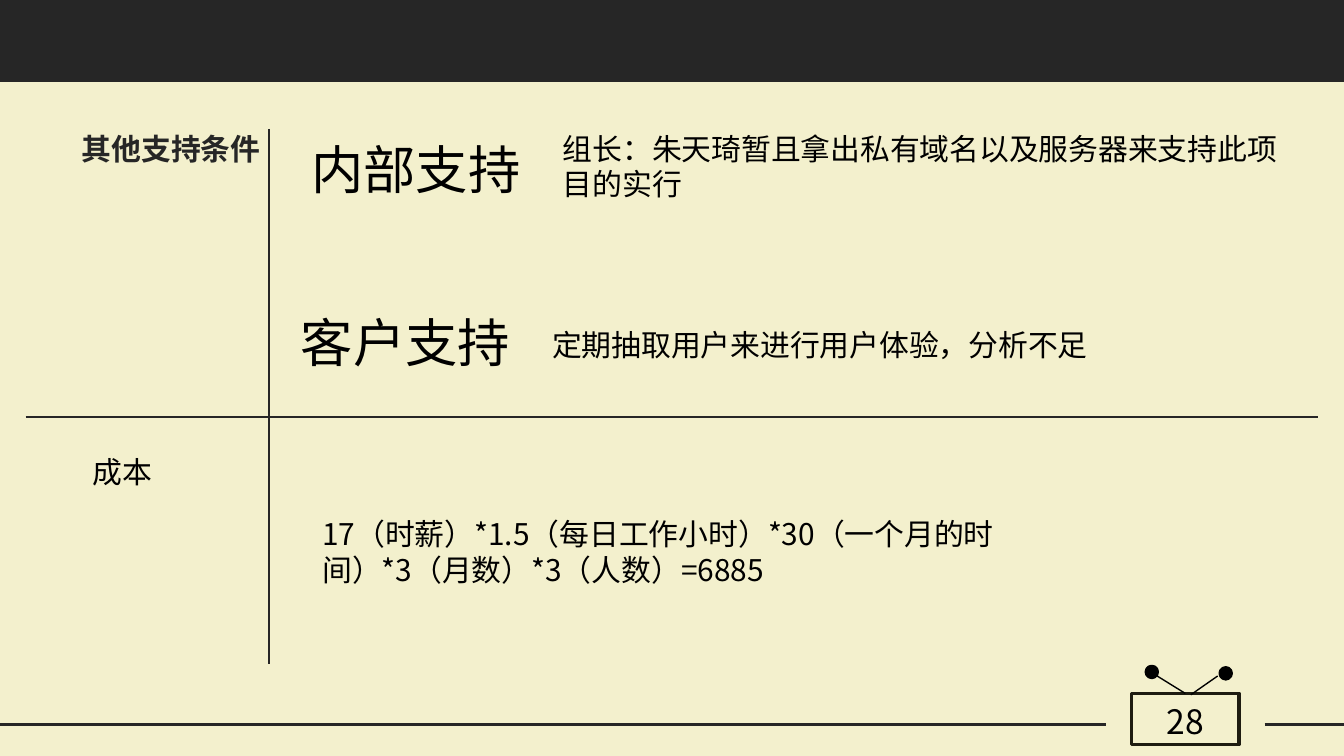
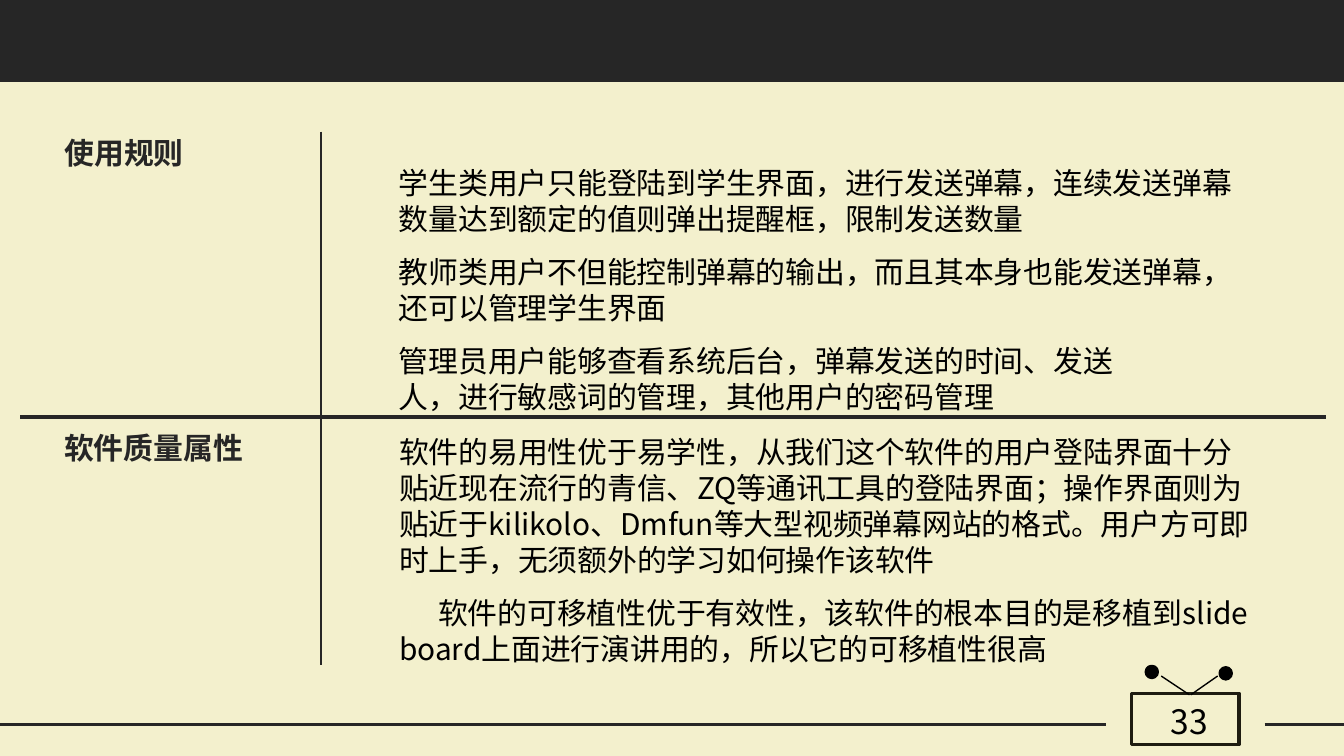
from dataclasses import dataclass
from typing import Optional

from lxml import etree
from pptx import Presentation, util as u
from pptx.dml.color import RGBColor
from pptx.enum import shapes, text
from pptx.oxml.ns import qn

CREAM = RGBColor(0xF3, 0xF0, 0xCD)
CHARCOAL = RGBColor(0x26, 0x26, 0x26)
FRAME = RGBColor(0x1E, 0x1C, 0x11)
BLACK = RGBColor(0, 0, 0)
FONT = "Noto Sans CJK JP"

# The slide is a grid of 100 columns by 56.25 rows of square cells.
SLIDE_WIDTH, SLIDE_HEIGHT = u.Inches(10), u.Inches(5.625)
CELL = SLIDE_WIDTH / 100

BODY = {"size": u.Pt(16), "bold": False, "color": BLACK}
HEADING = {"size": u.Pt(16), "bold": True, "color": CHARCOAL}
TOPIC = {"size": u.Pt(28), "bold": False, "color": BLACK}
NUMBER = {"size": u.Pt(18), "bold": False, "color": BLACK}

LEFT, CENTER = text.PP_ALIGN.LEFT, text.PP_ALIGN.CENTER


@dataclass(frozen=True)
class Area:
    column: float
    row: float
    columns: float
    rows: float

    def place(self) -> tuple:
        return tuple(cells(n) for n in (self.column, self.row, self.columns, self.rows))


@dataclass(frozen=True)
class Label:
    words: str
    area: Area
    style: dict
    wrap: bool = True
    align: text.PP_ALIGN = LEFT


@dataclass(frozen=True)
class Rule:
    start: tuple
    end: tuple
    width: float
    color: RGBColor = CHARCOAL


@dataclass(frozen=True)
class Page:
    number: str
    title: Label
    labels: tuple
    rules: tuple
    antenna_shift: float = 0
    body: tuple = ()
    body_area: Optional[Area] = None


def cells(count: float) -> int:
    return round(count * CELL)


def format_paragraph(paragraph, words: str, style: dict, align=LEFT) -> None:
    paragraph.alignment = align
    run = paragraph.add_run()
    run.text = words
    run.font.name = FONT
    for name, value in style.items():
        if name == "color":
            run.font.color.rgb = value
        else:
            setattr(run.font, name, value)
    east_asian = etree.SubElement(run.font._element, qn("a:ea"))
    east_asian.set("typeface", FONT)


def prepare_frame(shape, area: Area, wrap: bool = True):
    """Move a text shape to its area and make it grow from the top."""
    for name, value in zip(("left", "top", "width", "height"), area.place()):
        setattr(shape, name, value)
    frame = shape.text_frame
    settings = {
        "word_wrap": wrap,
        "vertical_anchor": text.MSO_ANCHOR.TOP,
        "auto_size": text.MSO_AUTO_SIZE.SHAPE_TO_FIT_TEXT,
    }
    for name, value in settings.items():
        setattr(frame, name, value)
    return frame


def fill_label(shape, label: Label) -> None:
    frame = prepare_frame(shape, label.area, label.wrap)
    format_paragraph(frame.paragraphs[0], label.words, label.style, label.align)


def add_label(slide, label: Label) -> None:
    fill_label(slide.shapes.add_textbox(*label.area.place()), label)


def fill_body(shape, area: Area, items: tuple) -> None:
    """Write plain paragraphs, the later ones with an indented first line."""
    frame = prepare_frame(shape, area)
    for index, words in enumerate(items):
        paragraph = frame.add_paragraph() if index else frame.paragraphs[0]
        properties = paragraph._p.get_or_add_pPr()
        properties.set("marL", "0")
        properties.set("indent", str(cells(2.9) if index else 0))
        etree.SubElement(properties, qn("a:buNone"))
        paragraph.space_before = u.Pt(9.4 if index else 0)
        format_paragraph(paragraph, words, BODY)


def add_rule(slide, rule: Rule):
    ends = [cells(n) for n in (*rule.start, *rule.end)]
    line = slide.shapes.add_connector(shapes.MSO_CONNECTOR.STRAIGHT, *ends)
    line.line.color.rgb = rule.color
    line.line.width = u.Pt(rule.width)
    etree.SubElement(line._element.spPr, qn("a:effectLst"))
    return line


def add_block(slide, kind, area: Area, fill: Optional[RGBColor], outline: Optional[RGBColor]):
    shape = slide.shapes.add_shape(kind, *area.place())
    shape.shadow.inherit = False
    if fill is None:
        shape.fill.background()
    else:
        shape.fill.solid()
        shape.fill.fore_color.rgb = fill
    if outline is None:
        shape.line.fill.background()
    else:
        shape.line.color.rgb = outline
        shape.line.width = u.Pt(2)
    return shape


def add_television(slide, number: str, shift: float) -> None:
    """Draw the page number in a small television with two antennas."""
    screen = add_block(slide, shapes.MSO_SHAPE.RECTANGLE, Area(84.2, 51.6, 8, 3.8), None, FRAME)
    add_label(slide, Label(number, Area(85 + shift, 51.7, 6.4, 4.3), NUMBER, align=CENTER))
    left = add_rule(slide, Rule((86.1 + shift, 50.3), (88.2 + shift, 51.7), 0.75, BLACK))
    if not shift:
        left.end_connect(screen, 0)
    add_rule(slide, Rule((90.6, 50.3), (88.6, 51.7), 0.75, BLACK))
    for column, row in ((85.3, 49.6), (90.8, 49.7)):
        add_block(slide, shapes.MSO_SHAPE.OVAL, Area(column, row, 0.8, 0.8), BLACK, BLACK)


def add_page(presentation, page: Page) -> None:
    layout = presentation.slide_layouts[1 if page.body else 5]
    slide = presentation.slides.add_slide(layout)
    add_block(slide, shapes.MSO_SHAPE.RECTANGLE, Area(0, 0, 100, 6.1), CHARCOAL, None)
    for start, end in ((0, 82.3), (94.1, 100)):
        add_rule(slide, Rule((start, 53.9), (end, 53.9), 1.75))
    fill_label(slide.shapes.title, page.title)
    if page.body:
        fill_body(slide.placeholders[1], page.body_area, page.body)
    for label in page.labels:
        add_label(slide, label)
    for rule in page.rules:
        add_rule(slide, rule)
    add_television(slide, page.number, page.antenna_shift)


SUPPORT = Page(
    number="28",
    title=Label("其他支持条件", Area(5.1, 9.2, 15.4, 3.9), HEADING, wrap=False),
    labels=(
        Label("内部支持", Area(22.2, 9.7, 17.9, 6.1), TOPIC),
        Label("客户支持", Area(21.4, 22.6, 17.9, 6.1), TOPIC),
        Label("组长：朱天琦暂且拿出私有域名以及服务器来支持此项目的实行",
              Area(40.9, 9.2, 55.6, 6.6), BODY),
        Label("定期抽取用户来进行用户体验，分析不足", Area(40.1, 23.8, 55.6, 3.7), BODY),
        Label("成本", Area(5.9, 33.3, 6.4, 3.9), BODY, wrap=False),
        Label("17（时薪）*1.5（每日工作小时）*30（一个月的时间）*3（月数）*3（人数）=6885",
              Area(23, 37.9, 55.6, 6.6), BODY),
    ),
    rules=(Rule((20, 9.6), (20, 49.4), 1.25), Rule((1.9, 31), (98.1, 31), 1)),
)

USER_RULES = (
    ("学生类用户只能登陆到学生界面，进行发送弹幕，连续发送弹幕数量达到额定的值则弹出提醒框，限制发送数量", 65.4),
    ("教师类用户不但能控制弹幕的输出，而且其本身也能发送弹幕，还可以管理学生界面", 63),
    ("管理员用户能够查看系统后台，弹幕发送的时间、发送人，进行敏感词的管理，其他用户的密码管理", 55.6),
)

QUALITY = Page(
    number="33",
    title=Label("使用规则", Area(3.8, 9.5, 10.9, 3.9), HEADING, wrap=False),
    labels=(
        Label("软件质量属性", Area(3.8, 31.5, 15.4, 3.9), HEADING, wrap=False),
        *(Label(words, Area(28.7, 11.8 + 6.6 * index, columns, 6.6), BODY)
          for index, (words, columns) in enumerate(USER_RULES)),
    ),
    rules=(Rule((23.9, 9.8), (23.9, 49.5), 1.25), Rule((1.5, 31), (98.7, 31), 2.25)),
    antenna_shift=0.3,
    body=(
        "软件的易用性优于易学性，从我们这个软件的用户登陆界面十分贴近现在流行的青信、ZQ等通讯工具的登陆界面；"
        "操作界面则为贴近于kilikolo、Dmfun等大型视频弹幕网站的格式。用户方可即时上手，无须额外的学习如何操作该软件",
        "软件的可移植性优于有效性，该软件的根本目的是移植到slide board上面进行演讲用的，所以它的可移植性很高",
    ),
    body_area=Area(28.7, 31.8, 65.4, 18.5),
)


def main() -> None:
    presentation = Presentation()
    presentation.slide_width, presentation.slide_height = SLIDE_WIDTH, SLIDE_HEIGHT
    background = presentation.slide_master.background.fill
    background.solid()
    background.fore_color.rgb = CREAM
    for page in (SUPPORT, QUALITY):
        add_page(presentation, page)
    presentation.save("out.pptx")


if __name__ == "__main__":
    main()
